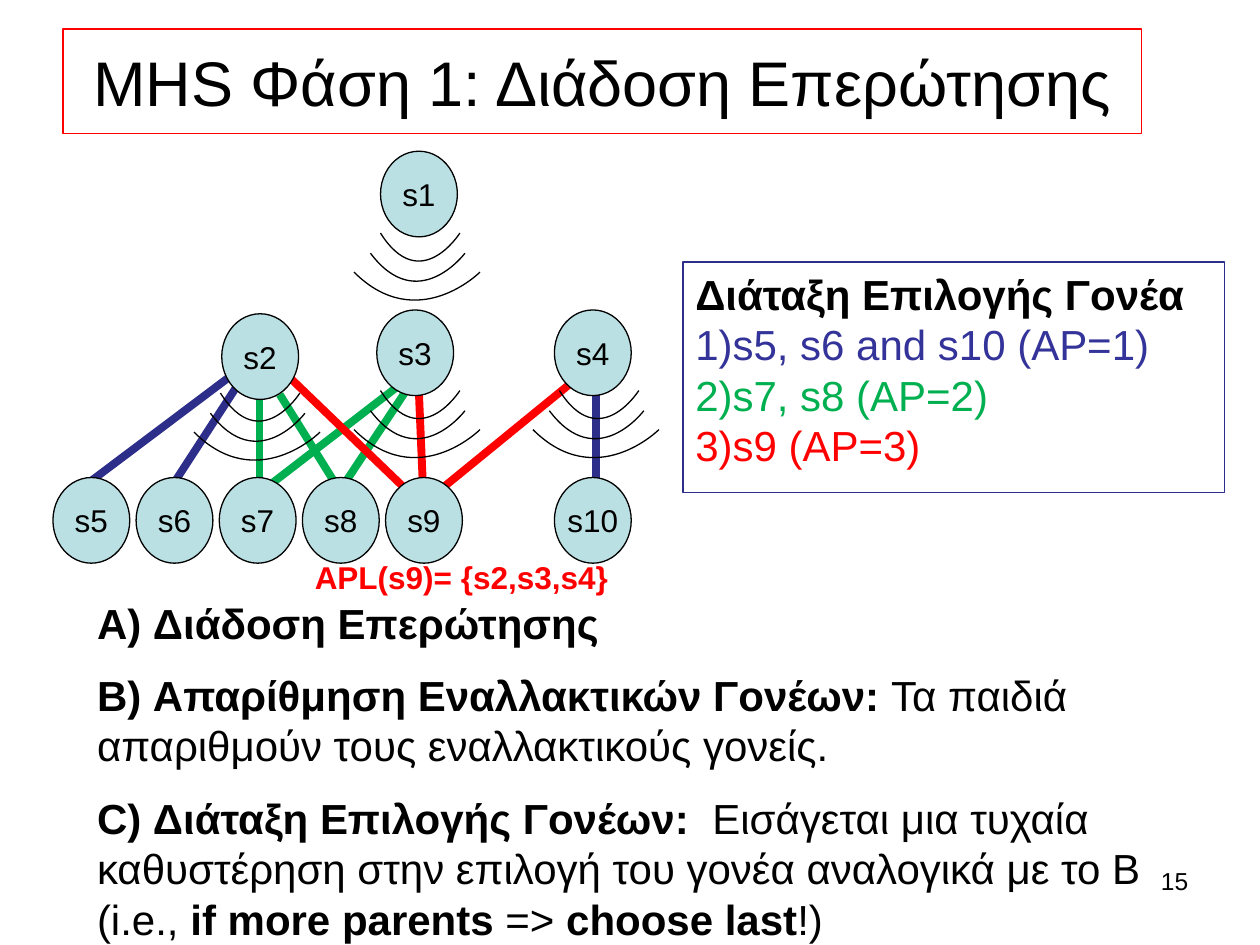
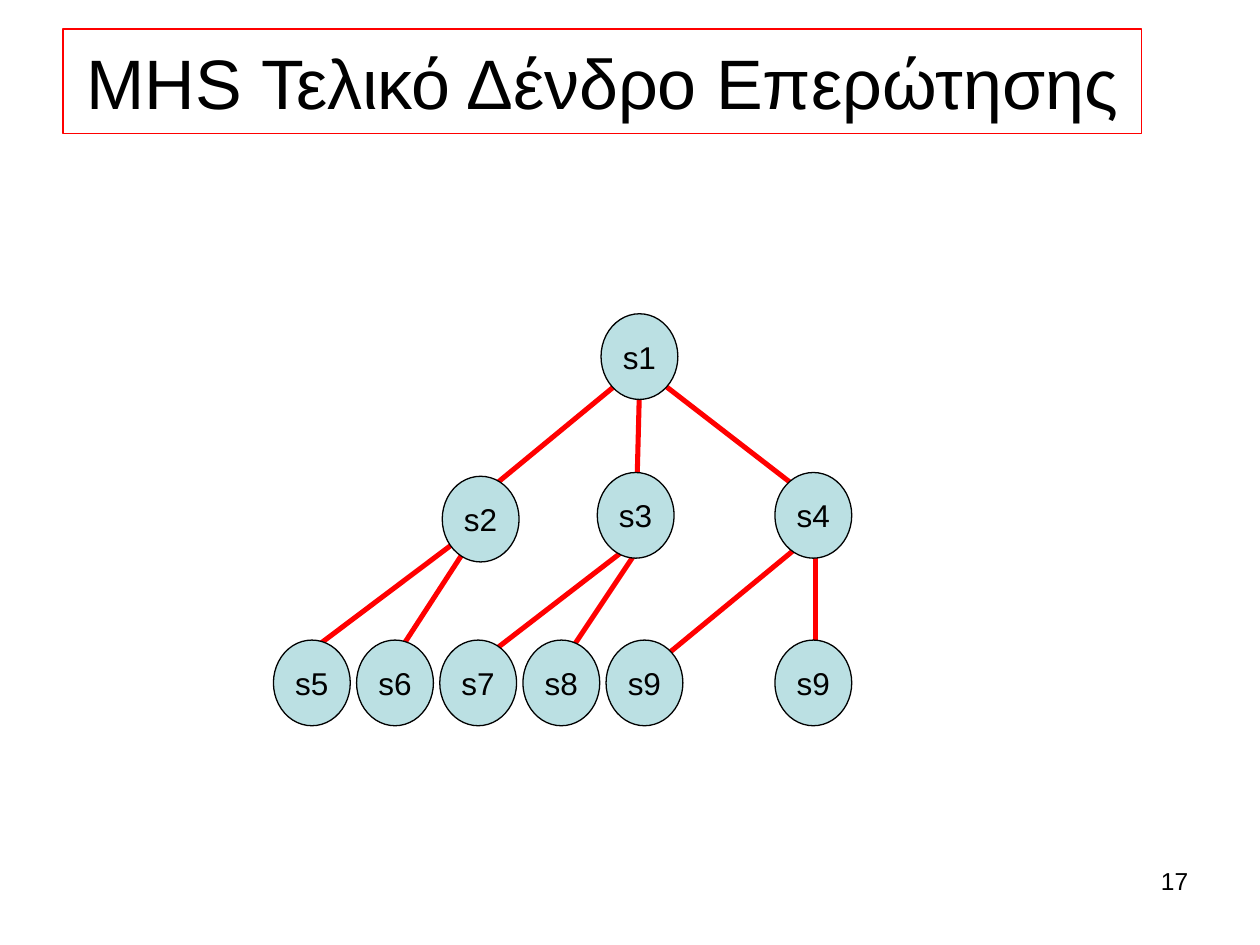
from copy import deepcopy

from lxml import etree
from pptx import Presentation
from pptx.dml import color as dml
from pptx.enum import shapes, text
from pptx.oxml import ns
from pptx.util import Inches, Pt

BLACK, RED, GREEN = "000000", "FF0000", "00B050"
NAVY, BLUE, AQUA = "2D2D8A", "333399", "BBE0E3"
FONT = "Arial"
LEFT, MID, RIGHT = text.PP_ALIGN.LEFT, text.PP_ALIGN.CENTER, text.PP_ALIGN.RIGHT

NODES = {
    "s1": (3.02, 1.2), "s2": (1.76, 2.49), "s3": (2.99, 2.46), "s4": (4.4, 2.46),
    "s5": (0.42, 3.79), "s6": (1.08, 3.79), "s7": (1.74, 3.79),
    "s8": (2.4, 3.79), "s9": (3.06, 3.79), "s10": (4.4, 3.79),
}
LINKS = {
    NAVY: [(0.56, 3.94, 1.81, 3), (1.39, 3.82, 1.89, 3.05), (4.73, 4.15, 4.73, 2.88)],
    GREEN: [(2.06, 3.85, 2.06, 3.04), (2.14, 3.85, 3.14, 3.08),
            (2.72, 3.86, 3.29, 3), (2.65, 3.82, 2.22, 3.13)],
    RED: [(3.36, 3.94, 3.32, 3), (3.43, 3.94, 4.68, 2.92), (3.28, 3.94, 2.22, 2.92)],
}
TREE = [
    (3.67, 4.06, 4.92, 3.03), (5.05, 4.06, 5.08, 2.9), (6.39, 3.92, 5.07, 2.9),
    (2.38, 5.23, 3.63, 4.29), (3.2, 5.12, 3.7, 4.35), (3.95, 5.14, 4.95, 4.37),
    (4.53, 5.16, 5.11, 4.29), (5.24, 5.24, 6.49, 4.21), (6.47, 5.41, 6.47, 4.14),
]
SIGNALS = [(3.02, 1.85), (1.75, 3.12), (3.02, 3.1), (4.44, 3.1)]
WAVES = [(0, 0, 0.63), (-0.08, 0.16, 0.75), (-0.21, 0.31, 1)]
ORDER = [("s5, s6 and s10 (AP=1)", BLUE), ("s7, s8 (AP=2)", GREEN), ("s9 (AP=3)", RED)]
STEPS = [
    [("A) Διάδοση Επερώτησης", True)],
    [("B) Απαρίθμηση Εναλλακτικών Γονέων: ", True),
     ("Τα παιδιά απαριθμούν τους εναλλακτικούς γονείς.", False)],
    [("C) Διάταξη Επιλογής Γονέων:  ", True),
     ("Εισάγεται μια τυχαία καθυστέρηση στην επιλογή του γονέα "
      "αναλογικά με το Β (i.e., ", False),
     ("if more parents ", True), ("=> ", False), ("choose last", True), ("!)", False)],
]


def rgb(code):
    """Turn a hex string into a colour."""
    return dml.RGBColor.from_string(code)


def sub(parent, tag, **attrs):
    """Append a drawing element to a parent."""
    return etree.SubElement(parent, ns.qn(tag), **attrs)


def place(shape, left, top, width, height):
    """Move and size a shape in inches."""
    shape.left, shape.top = Inches(left), Inches(top)
    shape.width, shape.height = Inches(width), Inches(height)


def stroke(shape, color, width=0.75):
    """Set the line of a shape."""
    shape.line.color.rgb = rgb(color)
    shape.line.width = Pt(width)


def write(para, words, size=18, color=BLACK, bold=False, align=LEFT, before=0):
    """Add a formatted run to a paragraph."""
    para.alignment, para.space_before = align, Pt(before)
    run = para.add_run()
    run.text = words
    font = run.font
    font.name, font.size, font.bold = FONT, Pt(size), bold
    font.color.rgb = rgb(color)


def setup(shape, anchor=text.MSO_ANCHOR.TOP, wrap=True):
    """Prepare a text frame and return it."""
    frame = shape.text_frame
    frame.auto_size = text.MSO_AUTO_SIZE.NONE
    frame.vertical_anchor, frame.word_wrap = anchor, wrap
    return frame


def label(slide, box, words, **style):
    """Add a text box with one paragraph."""
    shape = slide.shapes.add_textbox(*map(Inches, box))
    write(setup(shape).paragraphs[0], words, **style)


def start(deck, layout, title, size, number):
    """Add a slide with its framed title and page number."""
    slide = deck.slides.add_slide(deck.slide_layouts[layout])
    head = slide.shapes.title
    place(head, 0.5, 0.23, 8.56, 0.83)
    stroke(head, RED)
    frame = setup(head, text.MSO_ANCHOR.MIDDLE)
    write(frame.paragraphs[0], title, size=size, align=MID)
    label(slide, (7.2, 6.82, 2.33, 0.52), number, size=14, align=RIGHT)
    return slide


def preset(slide, kind, box, color):
    """Add a flat, outlined preset shape."""
    shape = slide.shapes.add_shape(kind, *map(Inches, box))
    shape.shadow.inherit = False
    shape.fill.background()
    stroke(shape, color)
    return shape


def link(slide, ends, color, width):
    """Draw a straight line between two points."""
    line = slide.shapes.add_connector(shapes.MSO_CONNECTOR.STRAIGHT, *map(Inches, ends))
    stroke(line, color, width)
    sub(line._element.spPr, "a:effectLst")


def node(slide, name, left, top):
    """Draw a sensor node."""
    oval = preset(slide, shapes.MSO_SHAPE.OVAL, (left, top, 0.61, 0.68), BLACK)
    oval.fill.solid()
    oval.fill.fore_color.rgb = rgb(AQUA)
    frame = setup(oval, text.MSO_ANCHOR.MIDDLE, wrap=False)
    write(frame.paragraphs[0], name, align=MID)


def wave(group, left, top, width):
    """Draw one curved wave."""
    pen = group.shapes.build_freeform(Inches(left), Inches(top))
    pen.add_line_segments([(Inches(left + width / 2), Inches(top + 0.5)),
                           (Inches(left + width), Inches(top))], close=False)
    arc = pen.convert_to_shape()
    arc.shadow.inherit = False
    arc.fill.background()
    stroke(arc, BLACK)
    first, last = list(arc._element.iter(ns.qn("a:lnTo")))
    curve = sub(first.getparent(), "a:cubicBezTo")
    for leg in (first, last, last):
        curve.append(deepcopy(leg[0]))
    for leg in (first, last):
        leg.getparent().remove(leg)


def signal(slide, left, top):
    """Draw a group of waves below a node."""
    group = slide.shapes.add_group_shape()
    for right, down, width in WAVES:
        wave(group, left + right, top + down, width)


def steps(slide):
    """Fill the body with the steps of the phase."""
    body = slide.placeholders[1]
    place(body, 0.67, 4.69, 9.06, 1.83)
    frame = setup(body)
    for index, runs in enumerate(STEPS):
        para = frame.add_paragraph() if index else frame.paragraphs[0]
        for words, bold in runs:
            write(para, words, size=24, bold=bold, before=12.5 if index else 0)
        props = para._p.get_or_add_pPr()
        props.set("marL", "0")
        props.set("indent", "0")
        sub(props, "a:buNone")


def legend(slide):
    """Draw the box with the numbered selection order."""
    box = preset(slide, shapes.MSO_SHAPE.RECTANGLE, (5.42, 2.08, 4.3, 1.83), NAVY)
    frame = setup(box)
    write(frame.paragraphs[0], "Διάταξη Επιλογής Γονέα", size=24, bold=True)
    for words, color in ORDER:
        para = frame.add_paragraph()
        write(para, words, size=24, color=color)
        props = para._p.get_or_add_pPr()
        sub(sub(props, "a:buClr"), "a:srgbClr", val=color)
        sub(props, "a:buAutoNum", type="arabicParenR")


def spread(deck):
    """Build the slide on spreading the query."""
    slide = start(deck, 1, "MHS Φάση 1: Διάδοση Επερώτησης", 36, "15")
    steps(slide)
    for color, lines in LINKS.items():
        for ends in lines:
            link(slide, ends, color, 4.5)
    for name, spot in NODES.items():
        node(slide, name, *spot)
    label(slide, (2.4, 4.38, 2.66, 0.97), "APL(s9)= {s2,s3,s4}", color=RED, bold=True)
    legend(slide)
    for spot in SIGNALS:
        signal(slide, *spot)


def final(deck):
    """Build the slide on the final query tree."""
    slide = start(deck, 5, "MHS Τελικό Δένδρο Επερώτησης", 40, "17")
    for ends in TREE:
        link(slide, ends, RED, 2.89)
    for name, (left, top) in NODES.items():
        node(slide, "s9" if name == "s10" else name, left + 1.75, top + 1.29)


def main():
    """Build and save the deck."""
    deck = Presentation()
    deck.slide_width, deck.slide_height = Inches(10), Inches(7.5)
    spread(deck)
    final(deck)
    deck.save("out.pptx")


if __name__ == "__main__":
    main()
